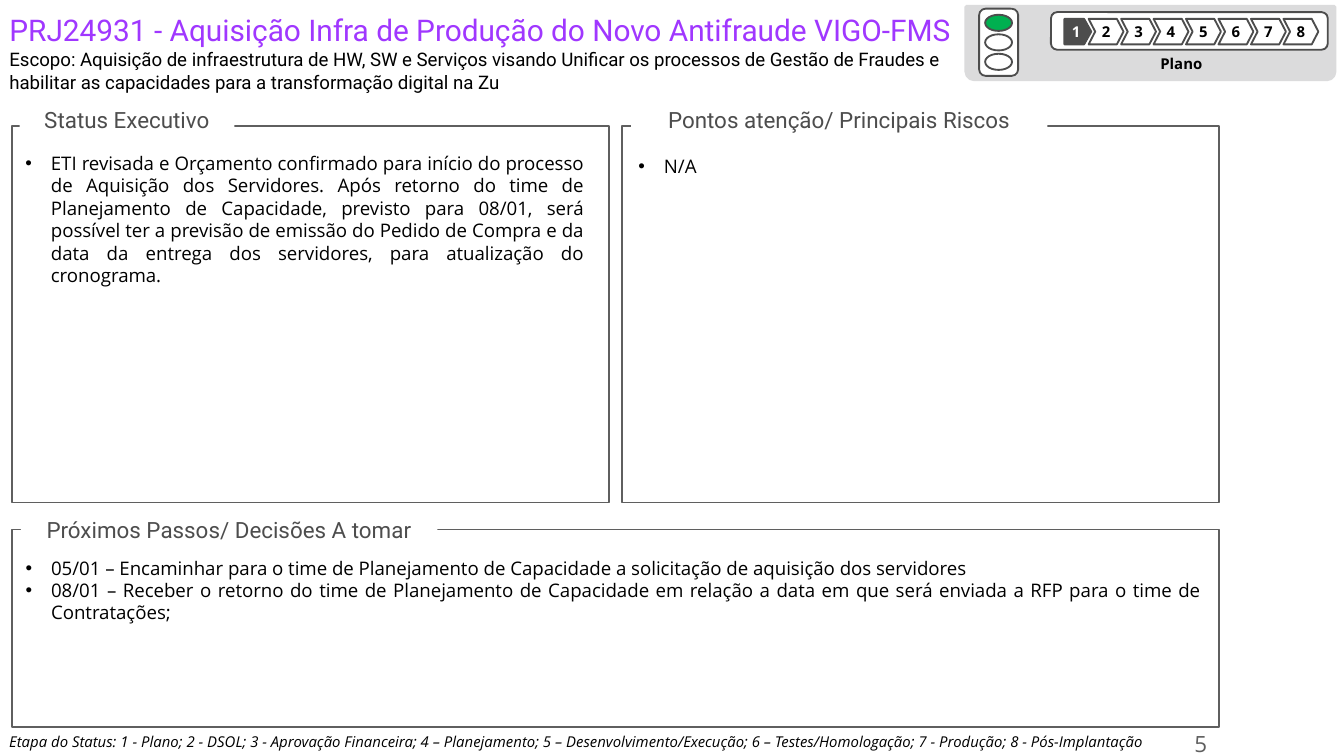
from dataclasses import dataclass
from lxml.etree import SubElement
from pptx import Presentation
from pptx.dml.color import RGBColor
from pptx.enum.shapes import MSO_SHAPE as Kind
from pptx.enum.text import MSO_ANCHOR as Anchor, MSO_AUTO_SIZE as Fit, PP_ALIGN as Align
from pptx.oxml.ns import qn
from pptx.util import Inches, Pt


@dataclass
class Theme:
    purple: str = "A037FF"
    black: str = "000000"
    white: str = "FFFFFF"
    dark: str = "4D4D4D"
    gray: str = "5F5F5F"
    band: str = "DBDBDC"
    green: str = "00B050"
    heading_font: str = "Roboto"
    body_font: str = "Open Sans"
    title_size: int = 16
    heading_size: int = 12
    body_size: int = 10
    small_size: int = 8


theme = Theme()


def add_box(shapes, kind, at, fill, line, width=1, adjust=None, turn=0):
    box = shapes.add_shape(kind, *[Inches(value) for value in at])
    box.shadow.inherit = False
    box.rotation = turn
    if fill:
        box.fill.solid()
        box.fill.fore_color.rgb = RGBColor.from_string(fill)
    else:
        box.fill.background()
    box.line.color.rgb = RGBColor.from_string(line)
    box.line.width = Pt(width)
    for index, value in enumerate(adjust or []):
        box.adjustments[index] = value
    return box


def write(box, text, size, color, font=theme.body_font, align=Align.LEFT, anchor=Anchor.TOP,
          insets=(0.04, 0, 0.04, 0), wrap=True, bold=False, italic=False, bullet=False):
    frame = box.text_frame
    frame.text = text
    frame.word_wrap = wrap
    frame.auto_size = Fit.NONE
    frame.vertical_anchor = anchor
    frame.margin_left, frame.margin_top, frame.margin_right, frame.margin_bottom = map(Inches, insets)
    for para in frame.paragraphs:
        para.alignment = align
        if bullet:
            properties = para._p.get_or_add_pPr()
            properties.set("marL", str(Inches(0.19)))
            properties.set("indent", str(Inches(-0.19)))
            SubElement(properties, qn("a:buFont"), typeface="Arial")
            SubElement(properties, qn("a:buChar"), char="•")
        for span in para.runs:
            span.font.name = font
            span.font.size = Pt(size)
            span.font.bold = bold
            span.font.italic = italic
            span.font.color.rgb = RGBColor.from_string(color)


deck = Presentation()
deck.slide_width = Inches(10)
deck.slide_height = deck.slide_width * 9 // 16
page = deck.slides.add_slide(deck.slide_layouts[5])

title = page.shapes.title
title.left, title.top, title.width, title.height = map(Inches, (0.07, 0.09, 7.16, 0.58))
write(title,
      "PRJ24931 - Aquisição Infra de Produção do Novo Antifraude VIGO-FMS \v"
      "Escopo: Aquisição de infraestrutura de HW, SW e Serviços visando Unificar os processos de "
      "Gestão de Fraudes e habilitar as capacidades para a transformação digital na Zu",
      theme.title_size, theme.purple, theme.heading_font, insets=(0, 0, 0, 0))
title_para = title.text_frame.paragraphs[0]
scope = title_para.runs[1]
scope.font.size = Pt(theme.body_size)
scope.font.color.rgb = RGBColor.from_string(theme.black)
SubElement(title_para._p.find(qn("a:br")), qn("a:rPr"), sz=str(theme.title_size * 100))

add_box(page.shapes, Kind.ROUND_2_SAME_RECTANGLE, (7.19, 0.05, 2.74, 0.54),
        theme.band, theme.band, 2, (0.11, 0), 180)
stage_name = page.shapes.add_textbox(*map(Inches, (8.1, 0.41, 1.38, 0.13)))
write(stage_name, "Plano", theme.small_size, theme.black, align=Align.CENTER,
      anchor=Anchor.BOTTOM, insets=(0.04, 0.04, 0.04, 0), wrap=False, bold=True)

stages = page.shapes.add_group_shape().shapes
add_box(stages, Kind.ROUNDED_RECTANGLE, (7.82, 0.09, 2.06, 0.28), theme.white, theme.dark)
for number in range(1, 9):
    if number == 1:
        stage = add_box(stages, Kind.PENTAGON, (7.92, 0.14, 0.2, 0.19), theme.dark, theme.dark,
                        adjust=[0.28])
    else:
        stage = add_box(stages, Kind.CHEVRON, (8.1 + (number - 2) * 1.45 / 6, 0.14, 0.26, 0.19),
                        theme.white, theme.dark, adjust=[0.26])
    write(stage, str(number), theme.small_size, theme.white if number == 1 else theme.black,
          align=Align.CENTER, anchor=Anchor.MIDDLE, wrap=False, bold=True)

traffic_light = page.shapes.add_group_shape().shapes
add_box(traffic_light, Kind.ROUNDED_RECTANGLE, (7.18, 0.17, 0.5, 0.29),
        theme.white, theme.dark, turn=90)
for index, color in enumerate((theme.green, theme.white, theme.white)):
    add_box(traffic_light, Kind.OVAL, (7.37, 0.07 + index * 0.29 / 2, 0.12, 0.2),
            color, theme.dark, turn=90)

panels = [
    ((0.09, 0.94, 4.44, 2.8), "Status Executivo", (0.16, 0.78, 1.57, 0.22),
     (0.09, 1.08, 4.35, 0.94), (0.1, 0.05, 0.1, 0.05),
     "ETI revisada e Orçamento confirmado para início do processo de Aquisição dos Servidores. "
     "Após retorno do time de Planejamento de Capacidade, previsto para 08/01, será possível ter "
     "a previsão de emissão do Pedido de Compra e da data da entrega dos servidores, para "
     "atualização do cronograma."),
    ((4.63, 0.94, 4.44, 2.8), "Pontos atenção/ Principais Riscos", (4.71, 0.78, 3.07, 0.22),
     (4.71, 1.11, 4.35, 0.25), (0.04, 0.04, 0.04, 0.04),
     "N/A"),
    ((0.09, 3.94, 8.98, 1.47), "Próximos Passos/ Decisões A tomar", (0.17, 3.83, 3.07, 0.22),
     (0.15, 4.1, 8.82, 0.58), (0.04, 0.04, 0.04, 0.04),
     "05/01 – Encaminhar para o time de Planejamento de Capacidade a solicitação de aquisição "
     "dos servidores\n"
     "08/01 – Receber o retorno do time de Planejamento de Capacidade em relação a data em que "
     "será enviada a RFP para o time de Contratações;"),
]
for frame_at, heading, heading_at, body_at, insets, text in panels:
    add_box(page.shapes, Kind.RECTANGLE, frame_at, None, theme.gray)
    label = add_box(page.shapes, Kind.ROUNDED_RECTANGLE, heading_at, theme.white, theme.white, 2)
    write(label, heading, theme.heading_size, theme.dark, theme.heading_font, Align.CENTER,
          Anchor.MIDDLE, wrap=False)
    body = page.shapes.add_textbox(*map(Inches, body_at))
    write(body, text, theme.body_size, theme.black, align=Align.JUSTIFY, insets=insets, bullet=True)

legend = add_box(page.shapes, Kind.RECTANGLE, (-0.03, 5.45, 9.09, 0.19), None, theme.white)
write(legend,
      "Etapa do Status: 1 - Plano; 2 - DSOL; 3 - Aprovação Financeira; 4 – Planejamento; "
      "5 – Desenvolvimento/Execução; 6 – Testes/Homologação; 7 - Produção; 8 - Pós-Implantação",
      theme.small_size, theme.black, insets=(0.1, 0, 0.1, 0), italic=True)
legend.text_frame.paragraphs[0].space_after = Pt(6)

page_number = page.shapes.add_textbox(*map(Inches, (8.6, 5.41, 0.48, 0.24)))
write(page_number, "5", theme.heading_size, theme.gray, align=Align.RIGHT,
      anchor=Anchor.MIDDLE, insets=(0.1, 0.05, 0.1, 0.05))

deck.save("out.pptx")
